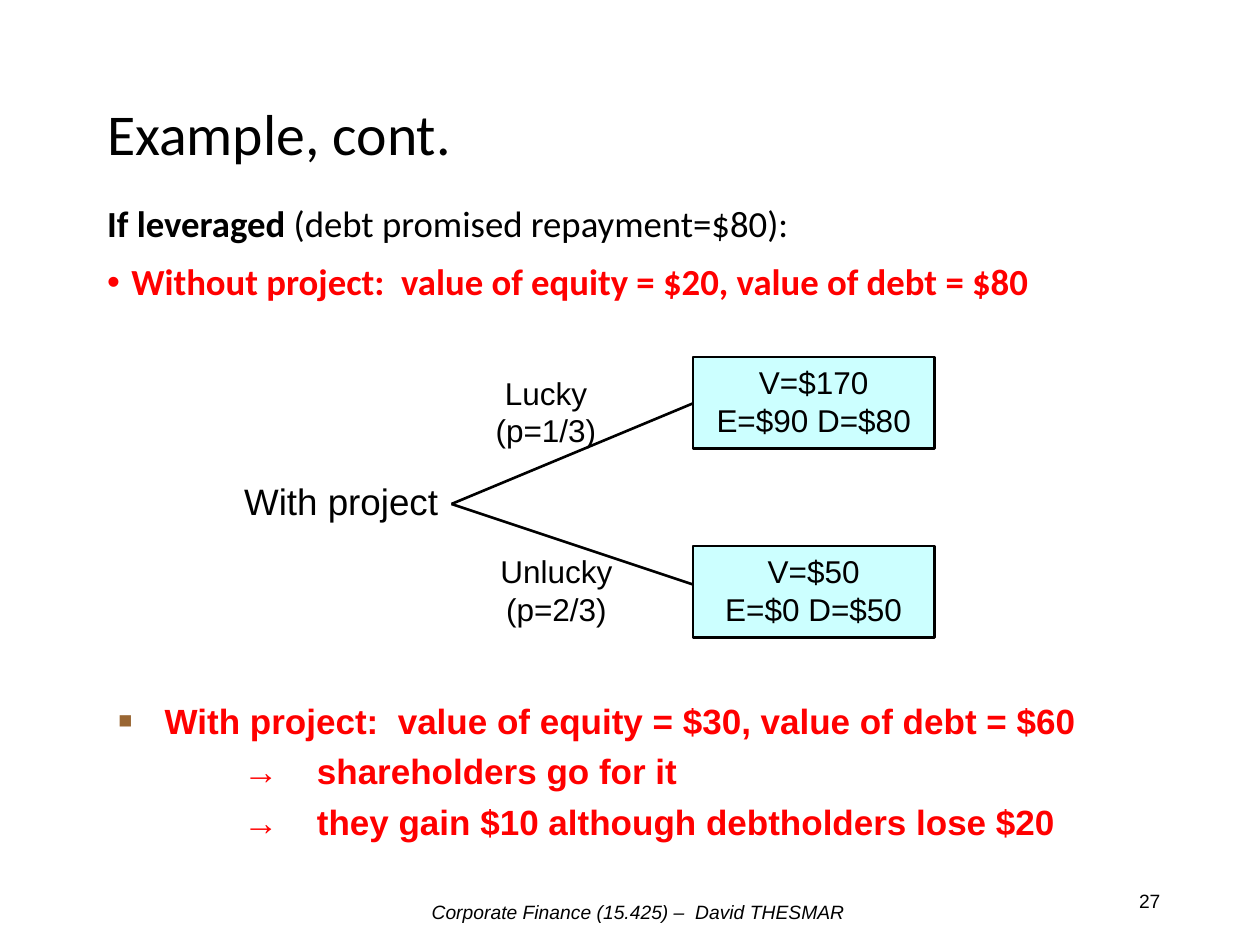
from lxml.etree import SubElement
from pptx import Presentation
from pptx.dml.color import RGBColor
from pptx.enum.shapes import MSO_CONNECTOR, MSO_SHAPE
from pptx.enum.text import MSO_ANCHOR, MSO_AUTO_SIZE, PP_ALIGN
from pptx.oxml.ns import qn
from pptx.util import Pt

PX = 7620
BLACK = RGBColor(0x00, 0x00, 0x00)
WHITE = RGBColor(0xFF, 0xFF, 0xFF)
RED = RGBColor(0xFF, 0x00, 0x00)
CYAN = RGBColor(0xCC, 0xFF, 0xFF)
BROWN = RGBColor(0x99, 0x66, 0x33)


def write(para, text, size=18, font="Arial", color=BLACK, bold=False,
          italic=False, align=PP_ALIGN.LEFT, before=0, spacing=1.0):
    para.alignment = align
    para.space_before = Pt(before)
    para.line_spacing = spacing
    for index, line in enumerate(text.split("\n")):
        if index:
            para.add_line_break()
        span = para.add_run()
        span.text = line
        span.font.size = Pt(size)
        span.font.name = font
        span.font.color.rgb = color
        span.font.bold = bold
        span.font.italic = italic


def set_bullet(para, hanging, char=None, color=None, percent=100):
    properties = para._p.get_or_add_pPr()
    properties.set("marL", str(hanging * PX))
    properties.set("indent", str(-hanging * PX))
    if char is None:
        SubElement(properties, qn("a:buNone"))
        return
    fill = SubElement(properties, qn("a:buClr"))
    SubElement(fill, qn("a:srgbClr"), val=str(color))
    SubElement(properties, qn("a:buSzPct"), val=str(percent * 1000))
    SubElement(properties, qn("a:buFont"), typeface="Arial")
    SubElement(properties, qn("a:buChar"), char=char)


deck = Presentation()
deck.slide_width = 1200 * PX
deck.slide_height = 900 * PX
page = deck.slides.add_slide(deck.slide_layouts[1])
page.background.fill.solid()
page.background.fill.fore_color.rgb = WHITE

title, body = page.placeholders
for holder, top, height in ((title, 70, 120), (body, 190, 110)):
    holder.left, holder.top = 90 * PX, top * PX
    holder.width, holder.height = 1020 * PX, height * PX
    holder.text_frame.auto_size = MSO_AUTO_SIZE.NONE
title.text_frame.vertical_anchor = MSO_ANCHOR.MIDDLE
write(title.text_frame.paragraphs[0], "Example, cont.", size=33,
      font="Calibri", spacing=0.9)

para = body.text_frame.paragraphs[0]
lead = dict(size=21, font="Calibri", spacing=0.9)
write(para, "If leveraged ", bold=True, before=7.5, **lead)
write(para, "(debt promised repayment=$80):", before=7.5, **lead)
set_bullet(para, 23)
para = body.text_frame.add_paragraph()
write(para, "Without project:  value of equity = $20, value of debt = $80",
      color=RED, bold=True, before=10.5, **lead)
set_bullet(para, 23, "•", RED)

for end_y in (380, 560):
    branch = page.shapes.add_connector(
        MSO_CONNECTOR.STRAIGHT, 430 * PX, 480 * PX, 670 * PX, end_y * PX)
    branch.line.color.rgb = BLACK
    branch.line.width = Pt(1.5)
    SubElement(branch._element.spPr, qn("a:effectLst"))

labels = (
    ("Corporate Finance (15.425) –  David THESMAR", 397, 852, 422, 34,
     dict(size=11, italic=True, align=PP_ALIGN.CENTER)),
    ("27", 847, 834, 270, 48, dict(size=11, align=PP_ALIGN.RIGHT)),
    ("With project", 210, 450, 230, 60,
     dict(size=21, align=PP_ALIGN.CENTER)),
    ("Lucky (p=1/3)", 430, 350, 180, 84, dict(align=PP_ALIGN.CENTER)),
    ("Unlucky (p=2/3)", 440, 520, 180, 84, dict(align=PP_ALIGN.CENTER)),
)
for text, left, top, width, height, style in labels:
    box = page.shapes.add_textbox(left * PX, top * PX, width * PX, height * PX)
    box.text_frame.word_wrap = True
    if text == "27":
        box.text_frame.vertical_anchor = MSO_ANCHOR.MIDDLE
    write(box.text_frame.paragraphs[0], text, **style)

for text, top in (("V=$170\nE=$90 D=$80", 340), ("V=$50\nE=$0 D=$50", 520)):
    outcome = page.shapes.add_shape(
        MSO_SHAPE.RECTANGLE, 660 * PX, top * PX, 230 * PX, 87 * PX)
    outcome.shadow.inherit = False
    outcome.fill.solid()
    outcome.fill.fore_color.rgb = CYAN
    outcome.line.color.rgb = BLACK
    outcome.line.width = Pt(1.5)
    outcome.text_frame.word_wrap = True
    outcome.text_frame.vertical_anchor = MSO_ANCHOR.TOP
    write(outcome.text_frame.paragraphs[0], text, align=PP_ALIGN.CENTER)

conclusion = page.shapes.add_textbox(100 * PX, 660 * PX, 970 * PX, 150 * PX)
frame = conclusion.text_frame
frame.word_wrap = True
strong = dict(size=20, color=RED, bold=True, before=5)
para = frame.paragraphs[0]
write(para, "With project:  value of equity = $30, value of debt = $60", **strong)
set_bullet(para, 45, "▪", BROWN, 130)
for text in ("shareholders go for it", "they gain $10 although debtholders lose $20"):
    para = frame.add_paragraph()
    write(para, "\t→\t" + text, **strong)
    stops = SubElement(para._p.get_or_add_pPr(), qn("a:tabLst"))
    for position in (120, 190):
        SubElement(stops, qn("a:tab"), pos=str(position * PX), algn="l")

deck.save("out.pptx")
